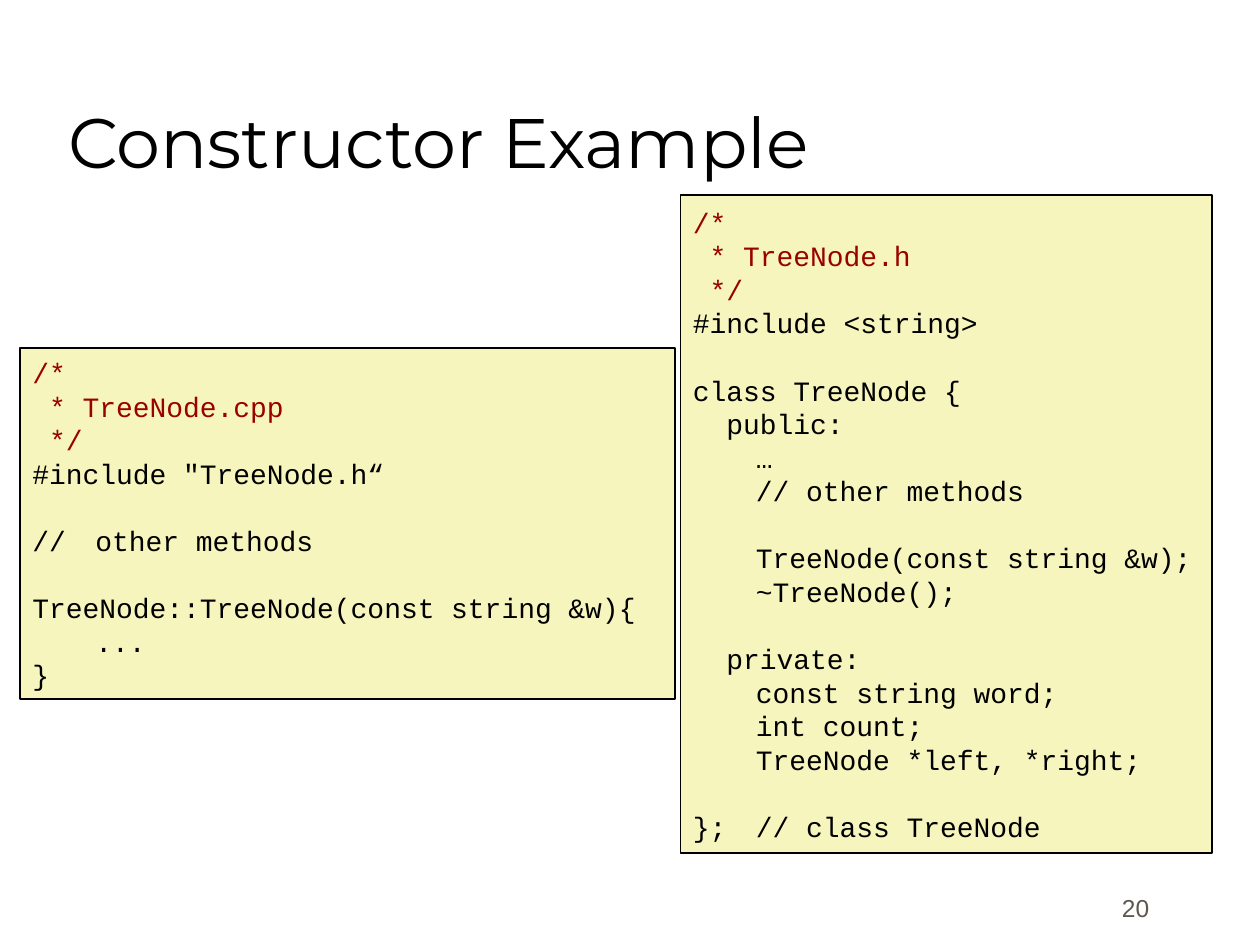
import pptx
import pptx.dml.color
import pptx.enum.shapes
import pptx.enum.text
import pptx.oxml.ns
import pptx.util
from lxml import etree
from pptx.util import Inches

COLORS = {
    "ink": "000000",
    "comment": "990000",
    "panel": "F6F5BD",
    "number": "5E574E",
}
CODE_SIZE = 16
CODE_LINE = 19.2
HEADER_LINES = 3

# Each listing is a list of blocks, one line of space apart.
SOURCE_CODE = [
    ["/*", " * TreeNode.cpp", " */", '#include "TreeNode.h“'],
    ["//\tother methods"],
    ["TreeNode::TreeNode(const string &w){", "\t...", "}"],
]
HEADER_CODE = [
    ["/*", " * TreeNode.h", " */", "#include <string>"],
    ["class TreeNode {", "  public:", "\t…", "\t// other methods"],
    ["\tTreeNode(const string &w);", "\t~TreeNode();"],
    ["  private:", "\tconst string word;", "\tint count;",
     "\tTreeNode *left, *right;"],
    ["};\t// class TreeNode"],
]


def color(name):
    return pptx.dml.color.RGBColor.from_string(COLORS[name])


def add_span(para, text, font, size, color_name):
    span = para.add_run()
    span.text = text
    span.font.name = font
    span.font.size = pptx.util.Pt(size)
    span.font.color.rgb = color(color_name)


def set_tab_stop(para, position):
    tabs = etree.SubElement(para._p.get_or_add_pPr(),
                            pptx.oxml.ns.qn("a:tabLst"))
    etree.SubElement(tabs, pptx.oxml.ns.qn("a:tab"),
                     pos=str(position), algn="l")


def add_title(page, left, top, width, height, text):
    title = page.shapes.title
    title.left, title.top, title.width, title.height = left, top, width, height
    frame = title.text_frame
    frame.auto_size = pptx.enum.text.MSO_AUTO_SIZE.NONE
    frame.vertical_anchor = pptx.enum.text.MSO_ANCHOR.BOTTOM
    para = frame.paragraphs[0]
    para.alignment = pptx.enum.text.PP_ALIGN.LEFT
    add_span(para, text, "Montserrat", 40, "ink")


def add_code_panel(page, left, top, width, height, blocks):
    """Draw a framed listing whose opening comment is highlighted."""
    box = page.shapes.add_shape(
        pptx.enum.shapes.MSO_SHAPE.RECTANGLE, left, top, width, height)
    box.shadow.inherit = False
    box.fill.solid()
    box.fill.fore_color.rgb = color("panel")
    box.line.color.rgb = color("ink")
    box.line.width = pptx.util.Pt(1)
    frame = box.text_frame
    frame.word_wrap = True
    frame.vertical_anchor = pptx.enum.text.MSO_ANCHOR.MIDDLE

    lines = [(line, block_index > 0 and line_index == 0)
             for block_index, block in enumerate(blocks)
             for line_index, line in enumerate(block)]
    for index, (line, starts_block) in enumerate(lines):
        para = frame.add_paragraph() if index else frame.paragraphs[0]
        para.alignment = pptx.enum.text.PP_ALIGN.LEFT
        para.line_spacing = pptx.util.Pt(CODE_LINE)
        para.space_before = pptx.util.Pt(CODE_LINE if starts_block else 0)
        set_tab_stop(para, Inches(0.5))
        add_span(para, line, "Courier New", CODE_SIZE,
                 "comment" if index < HEADER_LINES else "ink")


def add_page_number(page, left, top, width, height, number):
    box = page.shapes.add_textbox(left, top, width, height)
    frame = box.text_frame
    frame.word_wrap = True
    frame.vertical_anchor = pptx.enum.text.MSO_ANCHOR.BOTTOM
    para = frame.paragraphs[0]
    para.alignment = pptx.enum.text.PP_ALIGN.RIGHT
    add_span(para, number, "Arial", 14, "number")


def main():
    deck = pptx.Presentation()
    deck.slide_width, deck.slide_height = Inches(10), Inches(7.5)
    page = deck.slides.add_slide(deck.slide_layouts.get_by_name("Title Only"))
    add_title(page, Inches(0.44), Inches(0.25), Inches(8.5), Inches(1.25),
              "Constructor Example")
    add_code_panel(page, Inches(0.16), Inches(2.76), Inches(5.2),
                   Inches(2.79), SOURCE_CODE)
    add_code_panel(page, Inches(5.4), Inches(1.55), Inches(4.22),
                   Inches(5.22), HEADER_CODE)
    add_page_number(page, Inches(7.22), Inches(6.81), Inches(2),
                    Inches(0.56), "20")
    deck.save("out.pptx")


if __name__ == "__main__":
    main()
